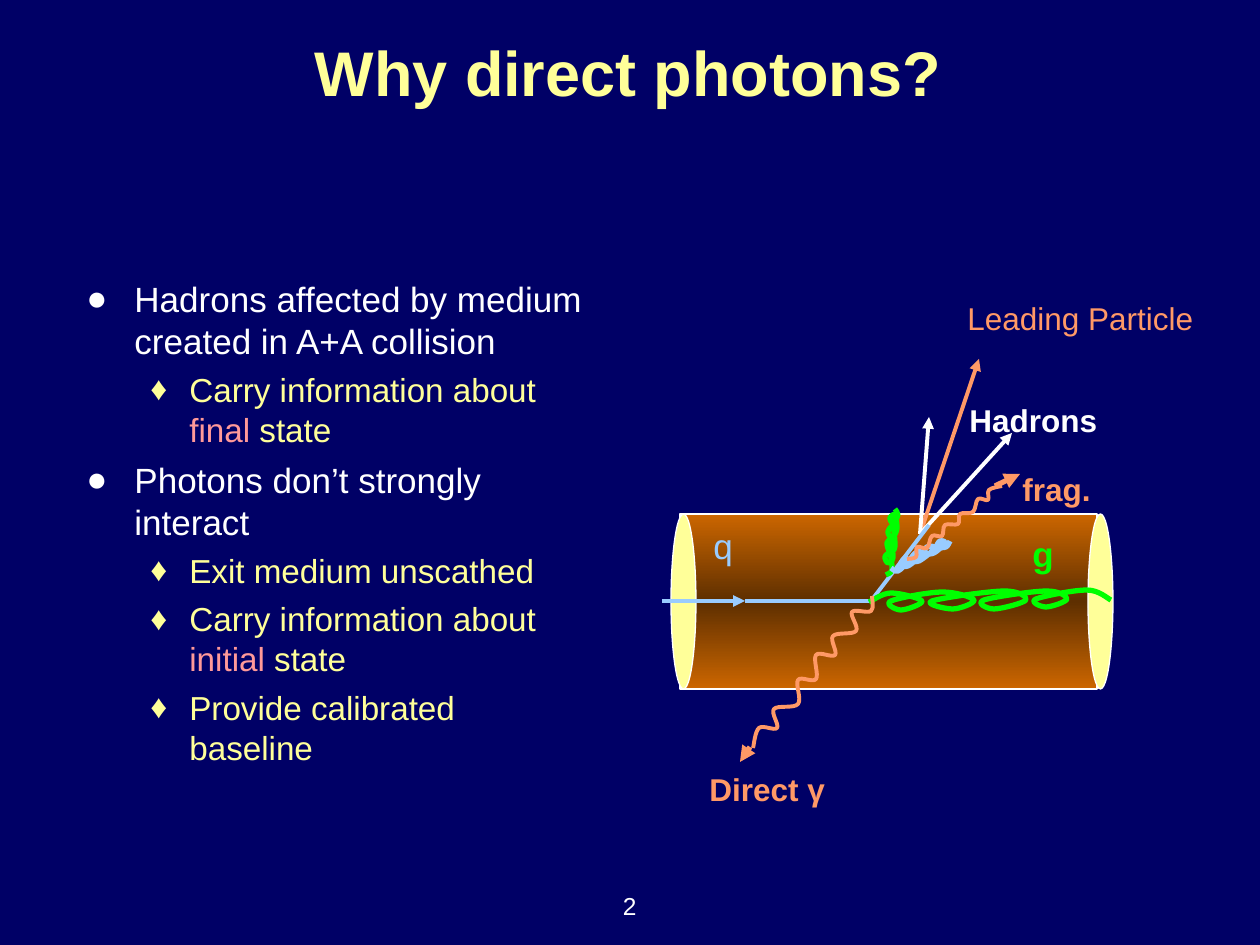
from copy import deepcopy

from lxml.etree import SubElement
from pptx import Presentation
from pptx.dml.color import RGBColor
from pptx.enum.shapes import MSO_CONNECTOR, MSO_SHAPE
from pptx.enum.text import MSO_ANCHOR, MSO_AUTO_SIZE, PP_ALIGN
from pptx.oxml.ns import qn
from pptx.util import Emu, Pt

NAVY = RGBColor(0x00, 0x00, 0x66)
WHITE = RGBColor(0xFF, 0xFF, 0xFF)
YELLOW = RGBColor(0xFF, 0xFF, 0x99)
ORANGE = RGBColor(0xFF, 0x99, 0x66)
PINK = RGBColor(0xFF, 0x99, 0x99)
BLUE = RGBColor(0x99, 0xCC, 0xFF)
GREEN = RGBColor(0x00, 0xFF, 0x00)
COPPER = RGBColor(0xCC, 0x66, 0x00)
BROWN = RGBColor(0x5E, 0x2F, 0x00)

PX_PER_INCH = 126

# Each bullet: level, then its runs as (text, colour)
BULLETS = [
    (0, [("Hadrons affected by medium created in A+A collision", WHITE)]),
    (1, [("Carry information about ", YELLOW), ("final ", PINK), ("state", YELLOW)]),
    (0, [("Photons don’t strongly interact", WHITE)]),
    (1, [("Exit medium unscathed", YELLOW)]),
    (1, [("Carry information about ", YELLOW), ("initial", PINK), (" state", YELLOW)]),
    (1, [("Provide calibrated baseline", YELLOW)]),
]
# Per level: character, colour, text size, space before, left margin, hanging indent
LEVELS = [("●", WHITE, 20, 5, 48, 48), ("♦", YELLOW, 19, 4.8, 103, 39)]

GLUON = [(869, 602), (891, 593), (922, 601), (901, 610), (891, 601), (942, 592), (974, 600),
         (953, 609), (932, 601), (1004, 591), (1026, 600), (994, 609), (984, 600), (1046, 591),
         (1067, 599), (1046, 607), (1036, 599), (1087, 590), (1111, 600)]
DIRECT_PHOTON = [(872, 596), (871, 611), (852, 612), (856, 631), (833, 636), (835, 655),
                 (816, 655), (816, 679), (798, 680), (798, 704), (774, 709), (777, 728),
                 (759, 728), (753, 748)]
RADIATED_GLUON = [(895, 509), (898, 515), (893, 523), (890, 518), (895, 515), (897, 529),
                  (892, 538), (888, 532), (893, 527), (895, 547), (890, 552), (887, 543),
                  (891, 541), (893, 558), (888, 563), (885, 557), (890, 554), (892, 570),
                  (886, 575)]
QUARK_GLUON = [(950, 541), (946, 547), (937, 547), (940, 541), (945, 543), (934, 553),
               (925, 553), (927, 547), (935, 548), (919, 561), (911, 559), (917, 552),
               (922, 554), (908, 566), (901, 564), (905, 558), (908, 561), (898, 571),
               (891, 568)]
FRAGMENT_PHOTON = [(907, 559), (916, 557), (917, 547), (927, 548), (932, 536), (942, 536),
                   (945, 525), (958, 524), (960, 514), (973, 512), (978, 499), (988, 500),
                   (989, 490), (1002, 486)]


def px(length):
    return Emu(round(length * 914400 / PX_PER_INCH))


def bezier_segments(anchors):
    """Return two handles and an end point for each span of a smooth curve."""
    padded = [anchors[0], *anchors, anchors[-1]]
    for a, b, c, d in zip(padded, padded[1:], padded[2:], padded[3:]):
        first = tuple(q + (r - p) / 6 for p, q, r in zip(a, b, c))
        second = tuple(r - (s - q) / 6 for q, r, s in zip(b, c, d))
        yield first, second, c


def write(paragraph, text, size=18, color=WHITE, bold=False, font="Arial"):
    run = paragraph.add_run()
    run.text = text
    run.font.name = font
    run.font.size = Pt(size)
    run.font.bold = bold
    run.font.color.rgb = color


class SlideBuilder:
    def __init__(self, presentation, background):
        self.slide = presentation.slides.add_slide(presentation.slide_layouts[5])
        self.shapes = self.slide.shapes
        fill = self.slide.background.fill
        fill.solid()
        fill.fore_color.rgb = background

    def title(self, text, left, top, width, height):
        title = self.shapes.title
        title.left, title.top, title.width, title.height = map(px, (left, top, width, height))
        title.text_frame.vertical_anchor = MSO_ANCHOR.MIDDLE
        paragraph = title.text_frame.paragraphs[0]
        paragraph.alignment = PP_ALIGN.CENTER
        write(paragraph, text, size=36, color=YELLOW, bold=True)

    def text_frame(self, left, top, width, height, wrap=True):
        frame = self.shapes.add_textbox(*map(px, (left, top, width, height))).text_frame
        frame.word_wrap = wrap
        frame.auto_size = MSO_AUTO_SIZE.NONE if wrap else MSO_AUTO_SIZE.SHAPE_TO_FIT_TEXT
        return frame

    def label(self, text, left, top, width, height=50, **style):
        frame = self.text_frame(left, top, width, height, wrap=False)
        write(frame.paragraphs[0], text, **style)

    def page_number(self, text, left, top, width, height):
        paragraph = self.text_frame(left, top, width, height).paragraphs[0]
        paragraph.alignment = PP_ALIGN.RIGHT
        write(paragraph, text, size=14)

    def bullets(self, items, left, top, width, height):
        frame = self.text_frame(left, top, width, height)
        for index, (level, runs) in enumerate(items):
            character, color, size, space, margin, hanging = LEVELS[level]
            paragraph = frame.add_paragraph() if index else frame.paragraphs[0]
            paragraph.level = level
            properties = paragraph._p.get_or_add_pPr()
            properties.set("marL", str(px(margin)))
            properties.set("indent", str(-px(hanging)))
            bullet_color = SubElement(properties, qn("a:buClr"))
            SubElement(bullet_color, qn("a:srgbClr"), val=str(color))
            SubElement(properties, qn("a:buFont"), typeface="Arial")
            SubElement(properties, qn("a:buChar"), char=character)
            if index:
                paragraph.space_before = Pt(space)
            for text, run_color in runs:
                write(paragraph, text, size=size, color=run_color)

    def shape(self, kind, left, top, width, height, colors):
        """Add a white-edged shape; several colours make a vertical gradient."""
        shape = self.shapes.add_shape(kind, *map(px, (left, top, width, height)))
        shape.shadow.inherit = False
        shape.line.color.rgb = WHITE
        shape.line.width = Pt(0.75)
        if len(colors) == 1:
            shape.fill.solid()
            shape.fill.fore_color.rgb = colors[0]
            return
        shape.fill.gradient()
        shape.fill.gradient_angle = 270
        stop_list = shape._element.spPr.find(qn("a:gradFill")).find(qn("a:gsLst"))
        while len(stop_list) < len(colors):
            stop_list.insert(1, deepcopy(stop_list[0]))
        for index, (stop, color) in enumerate(zip(shape.fill.gradient_stops, colors)):
            stop.position = index / (len(colors) - 1)
            stop.color.rgb = color

    def line(self, start, end, color, width=2.25, arrow=True):
        connector = self.shapes.add_connector(MSO_CONNECTOR.STRAIGHT, *map(px, (*start, *end)))
        connector.line.color.rgb = color
        connector.line.width = Pt(width)
        if arrow:
            SubElement(connector.line._get_or_add_ln(), qn("a:tailEnd"), type="triangle")
        SubElement(connector._element.spPr, qn("a:effectLst"))

    def curve(self, anchors, color, width):
        """Add an open outline and bend its straight segments into Bézier curves."""
        points = [(px(x), px(y)) for x, y in anchors]
        builder = self.shapes.build_freeform(*points[0])
        builder.add_line_segments(points[1:], close=False)
        shape = builder.convert_to_shape()
        segments = list(shape._element.iter(qn("a:lnTo")))
        for segment, handles in zip(segments, bezier_segments(points)):
            outline = segment.getparent()
            bend = SubElement(outline, qn("a:cubicBezTo"))
            for x, y in handles:
                SubElement(bend, qn("a:pt"), x=str(round(x - shape.left)),
                           y=str(round(y - shape.top)))
            outline.replace(segment, bend)
        shape.shadow.inherit = False
        shape.fill.background()
        shape.line.color.rgb = color
        shape.line.width = Pt(width)


def main():
    presentation = Presentation()
    presentation.slide_width, presentation.slide_height = px(1260), px(945)
    builder = SlideBuilder(presentation, NAVY)
    builder.title("Why direct photons?", -31, 11, 1318, 120)

    # Medium: a cylinder with two end caps
    builder.shape(MSO_SHAPE.RECTANGLE, 680, 514, 417, 175, [COPPER, BROWN, COPPER])
    for left in (671, 1088):
        builder.shape(MSO_SHAPE.OVAL, left, 514, 25, 175, [YELLOW])

    for tip, color in [((979, 359), ORANGE), ((929, 417), WHITE), ((1012, 433), WHITE)]:
        builder.line((920, 534), tip, color)
    vertex = (871, 601)
    builder.line((662, 601), (745, 601), BLUE)
    builder.line((745, 601), vertex, BLUE, arrow=False)
    builder.line((929, 525), vertex, BLUE, arrow=False)

    builder.curve(GLUON, GREEN, 3)
    builder.curve(DIRECT_PHOTON, ORANGE, 2.25)
    builder.line((750, 747), (740, 762), ORANGE, width=3)
    builder.curve(RADIATED_GLUON, GREEN, 3)
    builder.curve(QUARK_GLUON, BLUE, 3)
    builder.curve(FRAGMENT_PHOTON, ORANGE, 2.25)
    builder.line((995, 486), (1020, 474), ORANGE, width=3)

    builder.label("Leading Particle", 955, 293, 251, color=ORANGE)
    builder.label("Direct γ", 697, 764, 147, color=ORANGE, bold=True)
    builder.label("Hadrons", 957, 395, 156, bold=True)
    builder.label("frag.", 1010, 464, 97, color=ORANGE, bold=True)
    builder.label("g", 1020, 526, 48, 55, size=20, color=GREEN, bold=True)
    builder.label("q", 701, 518, 45, 55, size=20, color=BLUE)

    builder.bullets(BULLETS, 74, 271, 525, 619)
    builder.page_number("2", 387, 885, 262, 63)
    presentation.save("out.pptx")


if __name__ == "__main__":
    main()
